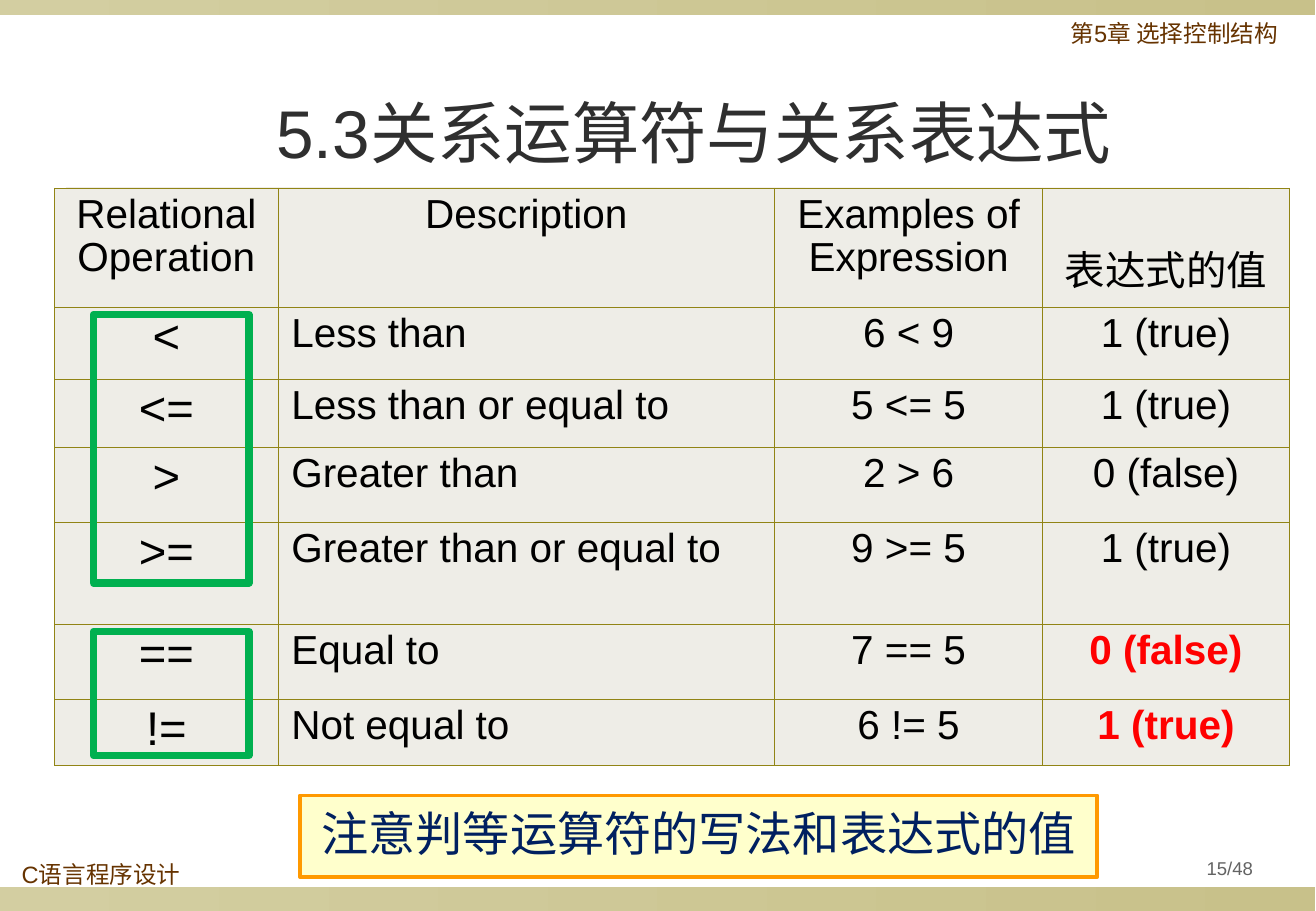
from dataclasses import dataclass
from typing import NamedTuple

from lxml.etree import SubElement
from pptx import Presentation
from pptx.dml.color import RGBColor
from pptx.enum.shapes import MSO_SHAPE
from pptx.enum.text import MSO_ANCHOR, MSO_AUTO_SIZE, PP_ALIGN
from pptx.oxml.ns import qn
from pptx.util import Emu, Pt

PX = 9144  # EMU per px, 100 px to the inch


@dataclass(frozen=True)
class Theme:
    latin: str = "Arial"
    chinese: str = "Noto Sans CJK SC"
    band: tuple = ("D3CEA1", "C8C18A")
    rule: tuple = ("EEECE6", "F8F7F5")
    label: str = "663300"
    title: str = "2F2F2F"
    text: str = "000000"
    alert: str = "FF0000"
    grid: str = "918415"
    cell: str = "EEEDE7"
    frame: str = "00B050"
    note_fill: str = "FFFFCC"
    note_line: str = "FF9900"
    note_text: str = "002060"
    number: str = "636363"
    title_size: int = 40
    operator_size: int = 28
    note_size: int = 28
    table_size: int = 24
    label_size: int = 14
    number_size: int = 11
    grid_width: float = 0.45
    frame_width: float = 4.5
    note_width: float = 2.25


THEME = Theme()


class Box(NamedTuple):
    left: int
    top: int
    width: int
    height: int

    def emu(self) -> list[Emu]:
        return [Emu(length * PX) for length in self]


class Gradient(NamedTuple):
    box: Box
    colors: tuple


class Label(NamedTuple):
    box: Box
    text: str
    size: int
    color: str
    align: PP_ALIGN
    anchor: MSO_ANCHOR
    side_inset: int


class Operator(NamedTuple):
    symbol: str
    description: str
    example: str
    value: str
    highlighted: bool = False


GRADIENTS = [
    Gradient(Box(0, 730, 1083, 20), THEME.band),
    Gradient(Box(0, 0, 1083, 12), THEME.band),
    Gradient(Box(54, 154, 975, 2), THEME.rule),
]
LABELS = [
    Label(Box(872, 13, 205, 39), "第5章 选择控制结构", THEME.label_size, THEME.label,
          PP_ALIGN.LEFT, MSO_ANCHOR.TOP, 10),
    Label(Box(8, 706, 235, 39), "C语言程序设计", THEME.label_size, THEME.label,
          PP_ALIGN.LEFT, MSO_ANCHOR.TOP, 10),
    Label(Box(959, 700, 108, 31), "15/48", THEME.number_size, THEME.number,
          PP_ALIGN.CENTER, MSO_ANCHOR.MIDDLE, 5),
]
HEADERS = ["Relational Operation", "Description", "Examples of Expression", "表达式的值"]
OPERATORS = [
    Operator("<", "Less than", "6 < 9", "1 (true)"),
    Operator("<=", "Less than or equal to", "5 <= 5", "1 (true)"),
    Operator(">", "Greater than", "2 > 6", "0 (false)"),
    Operator(">=", "Greater than or equal to", "9 >= 5", "1 (true)"),
    Operator("==", "Equal to", "7 == 5", "0 (false)", True),
    Operator("!=", "Not equal to", "6 != 5", "1 (true)", True),
]
TABLE_BOX = Box(45, 155, 1017, 475)
COLUMN_WIDTHS = [184, 409, 221, 203]
ROW_HEIGHTS = [98, 59, 56, 62, 84, 62, 54]
FRAMES = [Box(77, 259, 128, 221), Box(77, 520, 128, 102)]


def rgb(color: str) -> RGBColor:
    return RGBColor.from_string(color)


def write(text_frame, text: str, *, size: int, color: str, latin: str = THEME.latin,
          bold: bool = False, align=PP_ALIGN.LEFT, spacing: float = 0.9) -> None:
    paragraph = text_frame.paragraphs[0]
    paragraph.alignment = align
    paragraph.line_spacing = spacing
    run = paragraph.add_run()
    run.text = text
    run.font.size = Pt(size)
    run.font.bold = bold
    run.font.color.rgb = rgb(color)
    run.font.name = latin
    SubElement(run.font._element, qn("a:ea"), typeface=THEME.chinese)


def set_insets(target, side: int, top: int = 5, bottom: int = 5) -> None:
    """Set the inner margins of a text frame or a table cell."""
    target.margin_left = target.margin_right = Emu(side * PX)
    target.margin_top, target.margin_bottom = Emu(top * PX), Emu(bottom * PX)


def add_rectangle(slide, box: Box):
    shape = slide.shapes.add_shape(MSO_SHAPE.RECTANGLE, *box.emu())
    shape.shadow.inherit = False
    return shape


def add_gradient(slide, gradient: Gradient) -> None:
    shape = add_rectangle(slide, gradient.box)
    shape.line.fill.background()
    shape.fill.gradient()
    shape.fill.gradient_angle = 0
    for stop, color in zip(shape.fill.gradient_stops, gradient.colors):
        stop.color.rgb = rgb(color)


def add_label(slide, label: Label) -> None:
    text_frame = slide.shapes.add_textbox(*label.box.emu()).text_frame
    text_frame.word_wrap = True
    text_frame.vertical_anchor = label.anchor
    set_insets(text_frame, label.side_inset)
    write(text_frame, label.text, size=label.size, color=label.color, align=label.align)


def add_title(slide) -> None:
    title = slide.shapes.title
    title.left, title.top, title.width, title.height = Box(81, 62, 981, 92).emu()
    title.text_frame.auto_size = MSO_AUTO_SIZE.NONE
    title.text_frame.vertical_anchor = MSO_ANCHOR.MIDDLE
    write(title.text_frame, "5.3关系运算符与关系表达式", size=THEME.title_size,
          color=THEME.title, align=PP_ALIGN.CENTER, spacing=1.0)


def style_cell(cell) -> None:
    """Give a cell its grid lines, fill and margins."""
    properties = cell._tc.get_or_add_tcPr()
    for side in ("lnL", "lnR", "lnT", "lnB"):
        line = SubElement(properties, qn(f"a:{side}"), w=str(Pt(THEME.grid_width)))
        fill = SubElement(line, qn("a:solidFill"))
        SubElement(fill, qn("a:srgbClr"), val=THEME.grid)
    cell.fill.solid()
    cell.fill.fore_color.rgb = rgb(THEME.cell)
    set_insets(cell, 11)


def add_operator_table(slide) -> None:
    table = slide.shapes.add_table(
        len(ROW_HEIGHTS), len(COLUMN_WIDTHS), *TABLE_BOX.emu()).table
    table.first_row = table.horz_banding = False
    for column, width in zip(table.columns, COLUMN_WIDTHS):
        column.width = Emu(width * PX)
    for row, height in zip(table.rows, ROW_HEIGHTS):
        row.height = Emu(height * PX)
    for cell in table.iter_cells():
        style_cell(cell)

    for cell, header in zip(table.rows[0].cells, HEADERS):
        write(cell.text_frame, header, size=THEME.table_size, color=THEME.text,
              align=PP_ALIGN.CENTER, spacing=0.95)
    value_header = table.cell(0, len(HEADERS) - 1)
    value_header.vertical_anchor = MSO_ANCHOR.BOTTOM
    set_insets(value_header, 11, bottom=9)

    for row_index, operator in enumerate(OPERATORS, start=1):
        for column_index, text in enumerate(operator[:4]):
            alert = operator.highlighted and column_index == 3
            write(table.cell(row_index, column_index).text_frame, text,
                  size=THEME.operator_size if column_index == 0 else THEME.table_size,
                  color=THEME.alert if alert else THEME.text, bold=alert,
                  align=PP_ALIGN.LEFT if column_index == 1 else PP_ALIGN.CENTER,
                  spacing=0.95)


def add_frame(slide, box: Box) -> None:
    shape = add_rectangle(slide, box)
    shape.fill.background()
    shape.line.color.rgb = rgb(THEME.frame)
    shape.line.width = Pt(THEME.frame_width)


def add_note(slide) -> None:
    shape = add_rectangle(slide, Box(247, 655, 657, 67))
    shape.fill.solid()
    shape.fill.fore_color.rgb = rgb(THEME.note_fill)
    shape.line.color.rgb = rgb(THEME.note_line)
    shape.line.width = Pt(THEME.note_width)
    shape.text_frame.word_wrap = False
    shape.text_frame.vertical_anchor = MSO_ANCHOR.MIDDLE
    write(shape.text_frame, "注意判等运算符的写法和表达式的值", size=THEME.note_size,
          color=THEME.note_text, latin=THEME.chinese, align=PP_ALIGN.CENTER)


def main() -> None:
    presentation = Presentation()
    presentation.slide_width, presentation.slide_height = Emu(1084 * PX), Emu(750 * PX)
    slide = presentation.slides.add_slide(presentation.slide_layouts[5])
    for gradient in GRADIENTS:
        add_gradient(slide, gradient)
    add_title(slide)
    add_operator_table(slide)
    for box in FRAMES:
        add_frame(slide, box)
    add_note(slide)
    for label in LABELS:
        add_label(slide, label)
    presentation.save("out.pptx")


if __name__ == "__main__":
    main()
